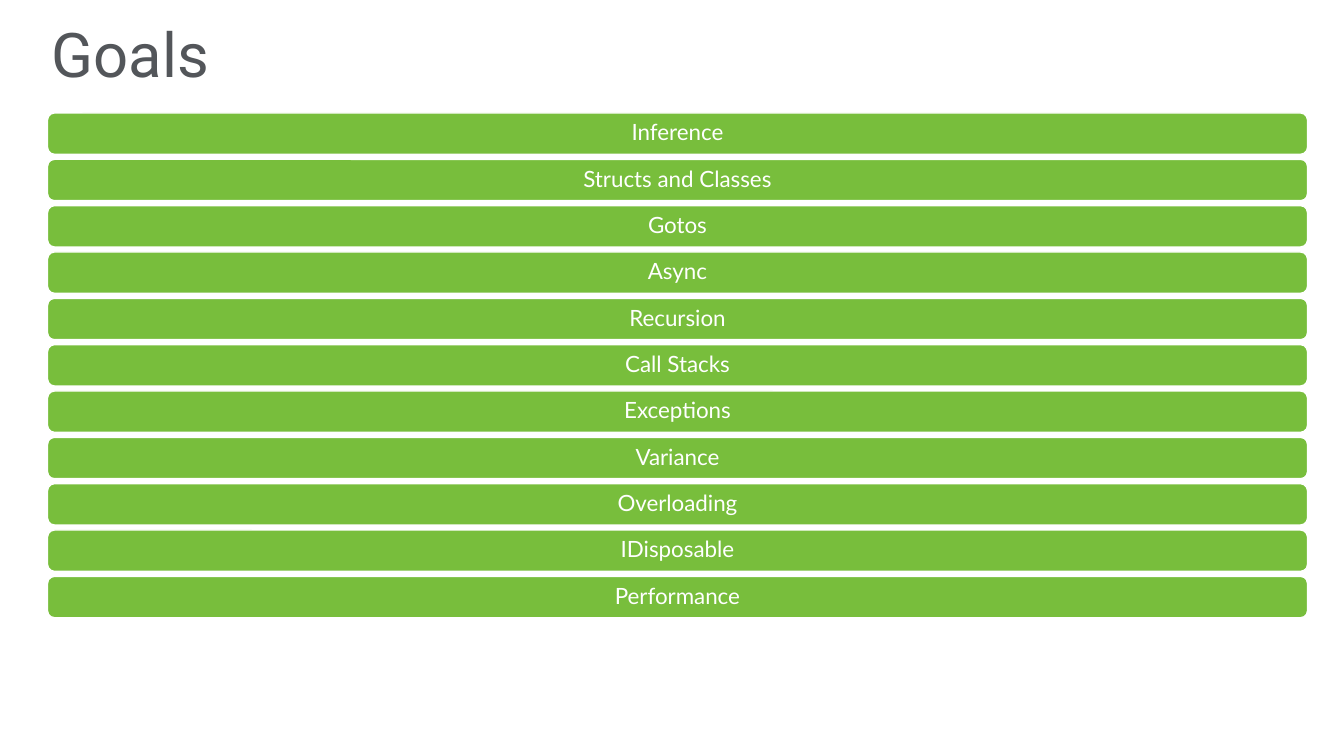
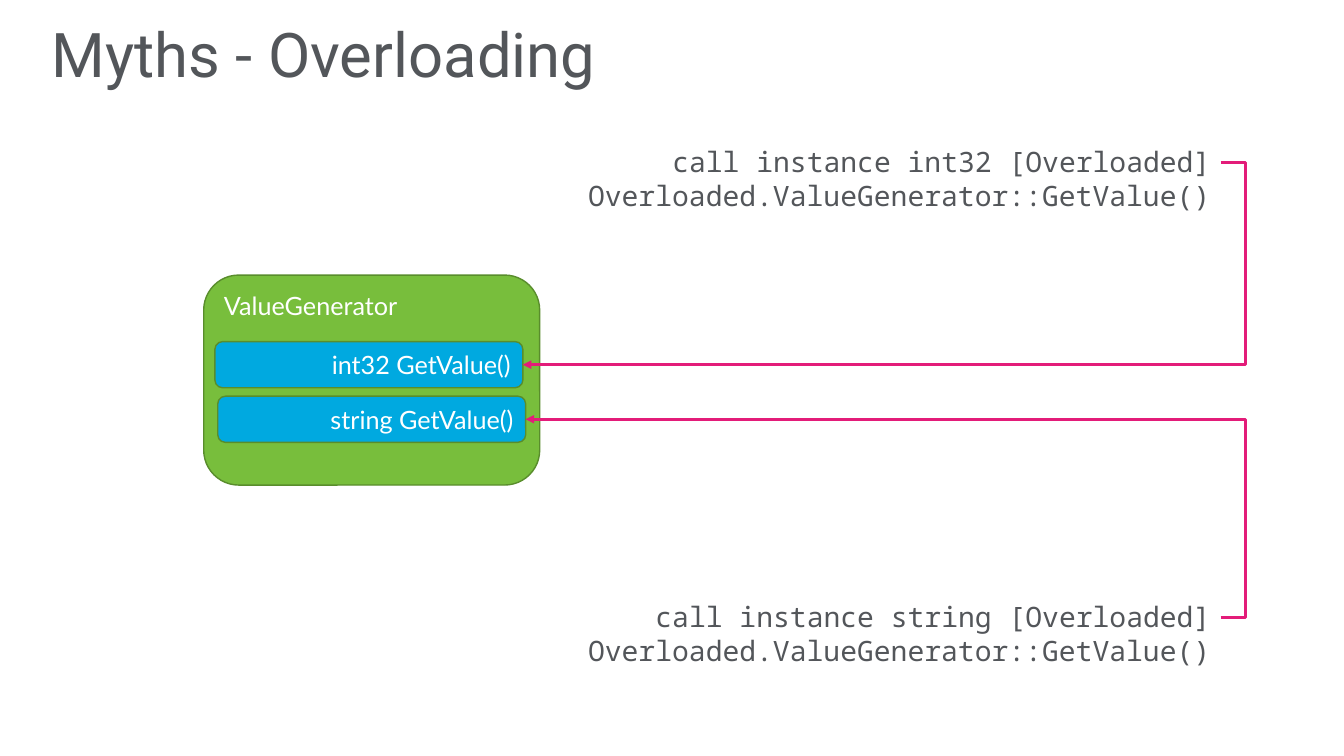
"""Build the goals and overloading slides."""
import pptx
import pptx.dml.color
import pptx.enum.shapes
import pptx.enum.text
import pptx.oxml
import pptx.oxml.ns
import pptx.util

Pt = pptx.util.Pt
ALIGN = pptx.enum.text.PP_ALIGN
ANCHOR = pptx.enum.text.MSO_ANCHOR
COLORS = {
    "ink": "53565A",
    "white": "FFFFFF",
    "green": "78BE3C",
    "edge": "598D2C",
    "blue": "00A9E0",
    "pink": "E31C79",
}
GOALS = [
    "Inference", "Structs and Classes", "Gotos", "Async", "Recursion",
    "Call Stacks", "Exceptions", "Variance", "Overloading", "IDisposable",
    "Performance",
]
CALLS = [
    ("int32", 100, 153.5, 244),
    ("string", 425, 155.5, 283),
]


def color(name):
    """Return the named palette colour."""
    return pptx.dml.color.RGBColor.from_string(COLORS[name])


def write_text(box, text, *, size, font="Lato", fill="white",
               align=ALIGN.LEFT, anchor=ANCHOR.MIDDLE, spacing=None):
    """Fill a box with one formatted paragraph."""
    frame = box.text_frame
    frame.word_wrap = True
    frame.vertical_anchor = anchor
    para = frame.paragraphs[0]
    para.alignment = align
    para.line_spacing = spacing
    span = para.add_run()
    span.text = text
    span.font.size = Pt(size)
    span.font.name = font
    span.font.color.rgb = color(fill)


def add_label(page, text, left, top, width, height, **style):
    """Add a plain text box."""
    box = page.shapes.add_textbox(Pt(left), Pt(top), Pt(width), Pt(height))
    write_text(box, text, fill="ink", **style)


def add_panel(page, text, left, top, width, height, fill, edge, **style):
    """Add a rounded rectangle with text."""
    panel = page.shapes.add_shape(
        pptx.enum.shapes.MSO_SHAPE.ROUNDED_RECTANGLE,
        Pt(left), Pt(top), Pt(width), Pt(height))
    panel.shadow.inherit = False
    panel.fill.solid()
    panel.fill.fore_color.rgb = color(fill)
    panel.line.color.rgb = color(edge)
    panel.line.width = Pt(1)
    write_text(panel, text, **style)


def add_elbow_arrow(page, start, end, bend):
    """Add an elbow arrow whose vertical part lies at the bend."""
    arrow = page.shapes.add_connector(
        pptx.enum.shapes.MSO_CONNECTOR.ELBOW,
        Pt(start[0]), Pt(start[1]), Pt(end[0]), Pt(end[1]))
    arrow.line.color.rgb = color("pink")
    arrow.line.width = Pt(2)
    qn = pptx.oxml.ns.qn
    properties = arrow._element.spPr
    guides = properties.find(qn("a:prstGeom")).get_or_add_avLst()
    guide = guides.makeelement(qn("a:gd"), {
        "name": "adj1",
        "fmla": f"val {round(100000 * (bend - start[0]) / (end[0] - start[0]))}",
    })
    guides.append(guide)
    line = properties.find(qn("a:ln"))
    line.append(line.makeelement(qn("a:tailEnd"), {"type": "triangle"}))
    properties.append(properties.makeelement(qn("a:effectLst"), {}))


def add_page(deck, title):
    """Add a blank page with the shared title style."""
    page = deck.slides.add_slide(deck.slide_layouts[6])
    add_label(page, title, 30, 20, 900, 42.5,
              size=44, font="Roboto", spacing=0.9)
    return page


def add_goals(deck):
    """Add the page that lists the goals as bars."""
    page = add_page(deck, "Goals")
    for index, goal in enumerate(GOALS):
        add_panel(page, goal, 34, 80.7 + 33.1 * index, 900, 29.5,
                  "green", "white", size=16, align=ALIGN.CENTER, spacing=0.9)


def add_overloading(deck):
    """Add the page that links calls to overloaded methods."""
    page = add_page(deck, "Myths - Overloading")
    add_panel(page, "ValueGenerator", 145.5, 196.5, 240, 150,
              "green", "edge", size=18, anchor=ANCHOR.TOP)
    code_left, code_width = 70, 802
    code_right = code_left + code_width
    method_width, method_height = 220, 33
    for kind, code_top, left, top in CALLS:
        add_label(page, f"call instance {kind} [Overloaded] "
                  "Overloaded.ValueGenerator::GetValue()",
                  code_left, code_top, code_width, 32, size=20,
                  font="Noto Sans Mono", align=ALIGN.RIGHT, anchor=ANCHOR.TOP)
        add_panel(page, f"{kind} GetValue()", left, top,
                  method_width, method_height,
                  "blue", "edge", size=18, align=ALIGN.RIGHT)
        add_elbow_arrow(page, (code_right, code_top + 16),
                        (left + method_width, top + method_height / 2),
                        code_right + 18)


def main():
    """Create and save the deck."""
    deck = pptx.Presentation()
    deck.slide_width = Pt(960)
    deck.slide_height = Pt(540)
    add_goals(deck)
    add_overloading(deck)
    deck.save("out.pptx")


if __name__ == "__main__":
    main()
